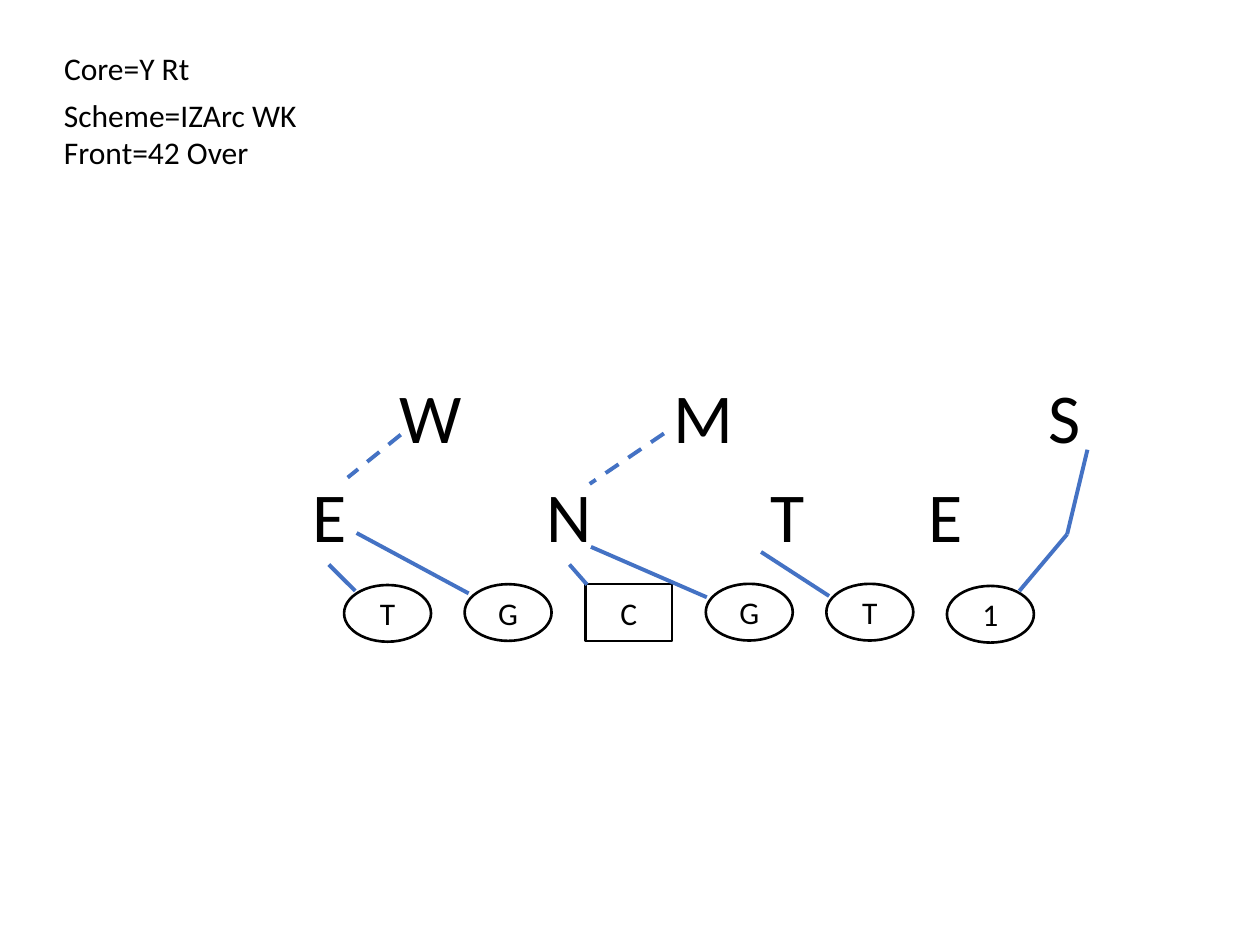
"""Build a football blocking diagram for the inside zone arc scheme."""
from dataclasses import dataclass

import lxml.etree
import pptx
import pptx.dml.color
import pptx.enum.dml
import pptx.enum.shapes
import pptx.enum.text
import pptx.util

Pt = pptx.util.Pt
Shape = pptx.enum.shapes.MSO_SHAPE
Align = pptx.enum.text.PP_ALIGN
Anchor = pptx.enum.text.MSO_ANCHOR

FONT = "Calibri"
BLACK, WHITE, BLUE = "000000", "FFFFFF", "4472C4"
LINE_LEFT, LINE_PITCH = 196.6, 68.9
PLAYER_WIDTH, PLAYER_HEIGHT = 49.7, 32.4
FRONT_TOP, BACKER_TOP, DEFENDER_HEIGHT = 266.4, 210.2, 55.4
NOTE_LEFT, NOTE_HEIGHT = 29.5, 29


@dataclass
class Lineman:
    label: str
    top: float
    shape: Shape = Shape.OVAL


@dataclass
class Label:
    text: str
    left: float
    top: float
    width: float
    height: float = DEFENDER_HEIGHT
    size: float = 40


@dataclass
class Path:
    start: tuple[float, float]
    end: tuple[float, float]
    dashed: bool = False


NOTES = [
    Label("Core=Y Rt", NOTE_LEFT, 24.5, 87.1, NOTE_HEIGHT, 18),
    Label("Scheme=IZArc WK", NOTE_LEFT, 51.1, 149, NOTE_HEIGHT, 18),
    Label("Front=42 Over", NOTE_LEFT, 72.7, 125.3, NOTE_HEIGHT, 18),
]
DEFENDERS = [
    Label("E", 171.4, FRONT_TOP, 34.6),
    Label("N", 305.3, FRONT_TOP, 40.3),
    Label("T", 433.4, FRONT_TOP, 34.6),
    Label("E", 523.4, FRONT_TOP, 34.6),
    Label("W", 221, BACKER_TOP, 50.4),
    Label("M", 378, BACKER_TOP, 50.4),
    Label("S", 591.8, BACKER_TOP, 34.6),
]
LINEMEN = [
    Lineman("T", 334.3),
    Lineman("G", 333.8),
    Lineman("C", 333.8, Shape.RECTANGLE),
    Lineman("G", 333.6),
    Lineman("T", 333.6),
    Lineman("1", 334.8),
]
ARC_BEND = (609.8, 305.3)
PATHS = [
    Path((187.9, 322.6), (203, 337.7)),
    Path((203.8, 304.6), (267.8, 339.1)),
    Path((229, 248.4), (198.7, 272.9), dashed=True),
    Path((379.4, 247.7), (337, 276.5), dashed=True),
    Path((325.4, 322.6), (335.5, 334.1)),
    Path((337.7, 312.5), (403.9, 341.3)),
    Path((434.9, 315.4), (473.8, 340.6)),
    Path((621.4, 257), ARC_BEND),
    Path(ARC_BEND, (582.5, 337.7)),
]


def colour(value: str) -> pptx.dml.color.RGBColor:
    return pptx.dml.color.RGBColor.from_string(value)


def write(box, text: str, *, size: float = 18, align=Align.LEFT,
          anchor=Anchor.TOP, wrap: bool = False) -> None:
    frame = box.text_frame
    frame.word_wrap = wrap
    frame.vertical_anchor = anchor
    para = frame.paragraphs[0]
    para.alignment = align
    span = para.add_run()
    span.text = text
    span.font.name = FONT
    span.font.size = Pt(size)
    span.font.color.rgb = colour(BLACK)


def draw_label(page, label: Label) -> None:
    box = page.shapes.add_textbox(
        Pt(label.left), Pt(label.top), Pt(label.width), Pt(label.height))
    write(box, label.text, size=label.size)
    box.text_frame.auto_size = pptx.enum.text.MSO_AUTO_SIZE.SHAPE_TO_FIT_TEXT


def draw_lineman(page, lineman: Lineman, position: int) -> None:
    player = page.shapes.add_shape(
        lineman.shape, Pt(LINE_LEFT + position * LINE_PITCH), Pt(lineman.top),
        Pt(PLAYER_WIDTH), Pt(PLAYER_HEIGHT))
    player.shadow.inherit = False
    player.fill.solid()
    player.fill.fore_color.rgb = colour(WHITE)
    player.line.color.rgb = colour(BLACK)
    player.line.width = Pt(1.5)
    write(player, lineman.label, align=Align.CENTER, anchor=Anchor.MIDDLE, wrap=True)


def draw_path(page, path: Path) -> None:
    connector = page.shapes.add_connector(
        pptx.enum.shapes.MSO_CONNECTOR.STRAIGHT,
        *(Pt(length) for length in path.start + path.end))
    connector.line.color.rgb = colour(BLUE)
    connector.line.width = Pt(2.25)
    if path.dashed:
        connector.line.dash_style = pptx.enum.dml.MSO_LINE.DASH
    lxml.etree.SubElement(
        connector._element.spPr, pptx.oxml.ns.qn("a:effectLst"))


def main() -> None:
    deck = pptx.Presentation()
    deck.slide_width, deck.slide_height = Pt(720), Pt(540)
    page = deck.slides.add_slide(deck.slide_layouts[6])
    for position, lineman in enumerate(LINEMEN):
        draw_lineman(page, lineman, position)
    for label in NOTES + DEFENDERS:
        draw_label(page, label)
    for path in PATHS:
        draw_path(page, path)
    deck.save("out.pptx")


if __name__ == "__main__":
    main()
